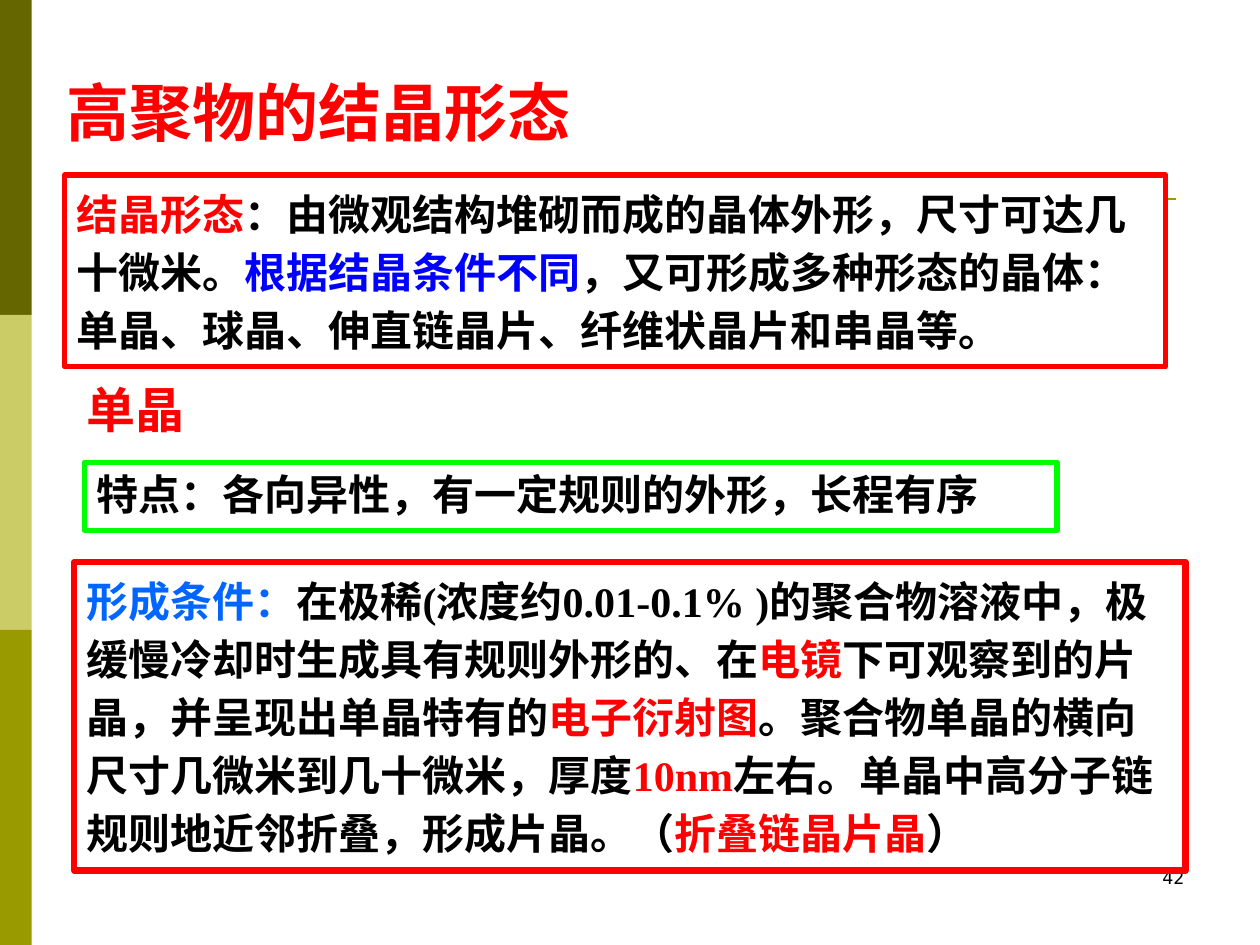
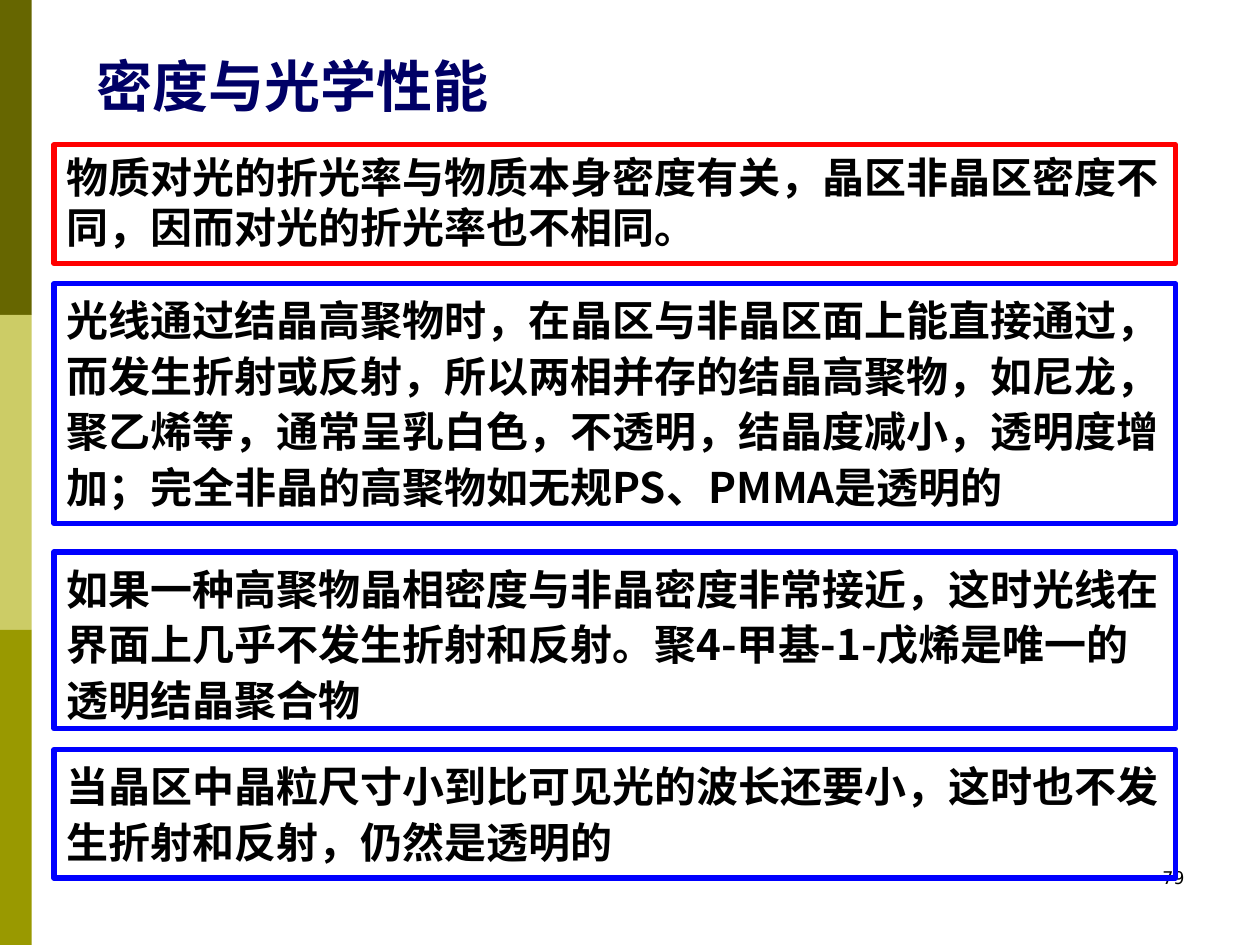
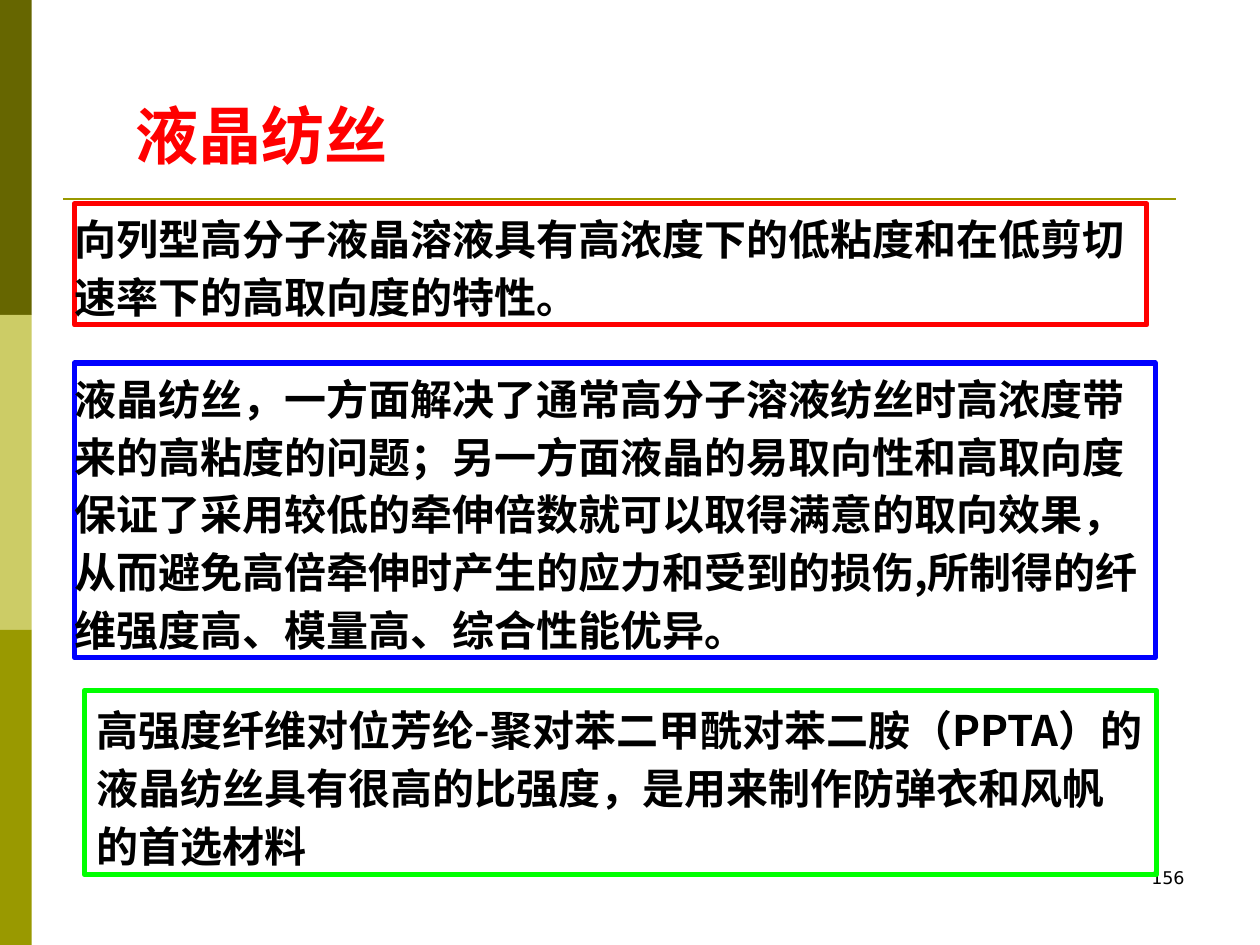
from lxml.etree import SubElement as Sub
from pptx import Presentation
from pptx.dml.color import RGBColor as Rgb
from pptx.enum.lang import MSO_LANGUAGE_ID as Lang
from pptx.enum.shapes import MSO_CONNECTOR as Conn, MSO_SHAPE as Kind
from pptx.enum.text import MSO_ANCHOR as Anchor, PP_ALIGN as Align
from pptx.oxml.ns import qn
from pptx.util import Cm, Pt

HUES = {
    "dark": "666600", "pale": "CCCC66", "olive": "999900",
    "red": "FF0000", "blue": "0000FF", "green": "00FF00",
    "sky": "0066FF", "navy": "000066", "black": "000000", "white": "FFFFFF",
}
SANS, SERIF, PLAIN = "Noto Sans CJK SC", "Times New Roman", "DejaVu Sans"


def hue(name):
    return Rgb.from_string(HUES[name])


def write(shape, runs, size=24, face=SANS, bold=True, space=None,
          anchor=Anchor.TOP, align=Align.LEFT, inset=True):
    """Fill a shape with one paragraph of (text, colour) runs."""
    frame = shape.text_frame
    frame.word_wrap = True
    frame.vertical_anchor = anchor
    if not inset:
        frame.margin_left = frame.margin_right = Cm(0)
        frame.margin_top = frame.margin_bottom = Cm(0)
    para = frame.paragraphs[0]
    para.alignment = align
    if space:
        para.line_spacing = space
    for text, tint in runs:
        run = para.add_run()
        run.text = text
        font = run.font
        font.size, font.bold, font.name = Pt(size), bold, face
        font.color.rgb = hue(tint)
        font.language_id = Lang.SIMPLIFIED_CHINESE
        # East Asian face
        Sub(run._r.get_or_add_rPr(), qn("a:ea"), typeface=SANS)


def label(slide, place, text, tint, size, **style):
    box = slide.shapes.add_textbox(*map(Cm, place))
    write(box, [(text, tint)], size, **style)


def block(slide, place, fill=None, edge=None, width=3):
    shape = slide.shapes.add_shape(Kind.RECTANGLE, *map(Cm, place))
    shape.shadow.inherit = False
    if fill:
        shape.fill.solid()
        shape.fill.fore_color.rgb = hue(fill)
    else:
        shape.fill.background()
    if edge:
        shape.line.color.rgb = hue(edge)
        shape.line.width = Pt(width)
    else:
        shape.line.fill.background()
    return shape


def panel(slide, place, edge, runs, fill=None, width=3, **style):
    if isinstance(runs, str):
        runs = [(runs, "black")]
    write(block(slide, place, fill, edge, width), runs, **style)


def base(deck, number):
    """Add a slide with the side bands, the rule and the page number."""
    slide = deck.slides.add_slide(deck.slide_layouts[6])
    for row, tint in enumerate(("dark", "pale", "olive")):
        block(slide, (0, row * 6.35, 0.64, 6.35), tint)
    rule = slide.shapes.add_connector(
        Conn.STRAIGHT, Cm(1.27), Cm(4.01), Cm(23.7), Cm(4.01))
    rule.line.color.rgb = hue("olive")
    rule.line.width = Pt(1.5)
    Sub(rule._element.spPr, qn("a:effectLst"))
    label(slide, (18.21, 17.35, 5.92, 1.27), str(number), "black", 10,
          face=PLAIN, bold=False, align=Align.RIGHT)
    return slide


def forms(deck):
    slide = base(deck, 42)
    label(slide, (1.09, 1.12, 22.86, 2.01), "高聚物的结晶形态", "red", 36,
          anchor=Anchor.BOTTOM)
    # Definition
    panel(slide, (1.3, 3.53, 22.2, 3.86), "red", [
        ("结晶形态", "red"),
        ("：由微观结构堆砌而成的晶体外形，尺寸可达几十微米。", "black"),
        ("根据结晶条件不同", "blue"),
        ("，又可形成多种形态的晶体：单晶、球晶、伸直链晶片、"
         "纤维状晶片和串晶等。", "black"),
    ], fill="white", face=SERIF, space=1.15)
    # Single crystal
    label(slide, (1.5, 7.52, 8, 1.45), "单晶", "red", 28)
    panel(slide, (1.7, 9.32, 19.61, 1.37), "green",
          "特点：各向异性，有一定规则的外形，长程有序", face=SERIF)
    panel(slide, (1.5, 11.33, 22.4, 6.22), "red", [
        ("形成条件：", "sky"),
        ("在极稀(浓度约0.01-0.1% )的聚合物溶液中，"
         "极缓慢冷却时生成具有规则外形的、在", "black"),
        ("电镜", "red"),
        ("下可观察到的片晶，并呈现出单晶特有的", "black"),
        ("电子衍射图", "red"),
        ("。聚合物单晶的横向尺寸几微米到几十微米，厚度", "black"),
        ("10nm", "red"),
        ("左右。单晶中高分子链规则地近邻折叠，形成片晶。（", "black"),
        ("折叠链晶片晶", "red"),
        ("）", "black"),
    ], width=3.5, face=SERIF, space=1.15)


def optics(deck):
    slide = base(deck, 79)
    label(slide, (1.7, 0.91, 12.6, 1.6), "密度与光学性能", "navy", 32)
    left, wide = 1.09, 22.61
    panel(slide, (left, 2.92, wide, 2.39), "red",
          "物质对光的折光率与物质本身密度有关，晶区非晶区密度不同，"
          "因而对光的折光率也不相同。", fill="white")
    # Light in crystalline polymers
    cases = [
        (5.72, 4.83,
         "光线通过结晶高聚物时，在晶区与非晶区面上能直接通过，"
         "而发生折射或反射，所以两相并存的结晶高聚物，如尼龙，聚乙烯等，"
         "通常呈乳白色，不透明，结晶度减小，透明度增加；"
         "完全非晶的高聚物如无规PS、PMMA是透明的"),
        (11.13, 3.56,
         "如果一种高聚物晶相密度与非晶密度非常接近，"
         "这时光线在界面上几乎不发生折射和反射。"
         "聚4-甲基-1-戊烯是唯一的透明结晶聚合物"),
        (15.11, 2.59,
         "当晶区中晶粒尺寸小到比可见光的波长还要小，"
         "这时也不发生折射和反射，仍然是透明的"),
    ]
    for top, high, text in cases:
        panel(slide, (left, top, wide, high), "blue", text, space=1.1)


def spinning(deck):
    slide = base(deck, 156)
    label(slide, (2.49, 1.83, 11.4, 1.78), "液晶纺丝", "red", 36)
    # Property and benefit, set tight to the frame
    tight = dict(space=1.15, anchor=Anchor.MIDDLE, inset=False)
    panel(slide, (1.5, 4.11, 21.62, 2.44), "red",
          "向列型高分子液晶溶液具有高浓度下的低粘度和"
          "在低剪切速率下的高取向度的特性。", **tight)
    panel(slide, (1.5, 7.32, 21.79, 5.94), "blue",
          "液晶纺丝，一方面解决了通常高分子溶液纺丝时高浓度带来的高粘度的问题；"
          "另一方面液晶的易取向性和高取向度保证了采用较低的牵伸倍数就可以取得"
          "满意的取向效果，从而避免高倍牵伸时产生的应力和受到的损伤,"
          "所制得的纤维强度高、模量高、综合性能优异。", **tight)
    # Use
    panel(slide, (1.7, 13.92, 21.62, 3.71), "green",
          "高强度纤维对位芳纶-聚对苯二甲酰对苯二胺（PPTA）的液晶纺丝"
          "具有很高的比强度，是用来制作防弹衣和风帆的首选材料", space=1.15)


def main():
    deck = Presentation()
    deck.slide_width, deck.slide_height = Cm(25.4), Cm(19.05)
    for build in (forms, optics, spinning):
        build(deck)
    deck.save("out.pptx")


if __name__ == "__main__":
    main()
